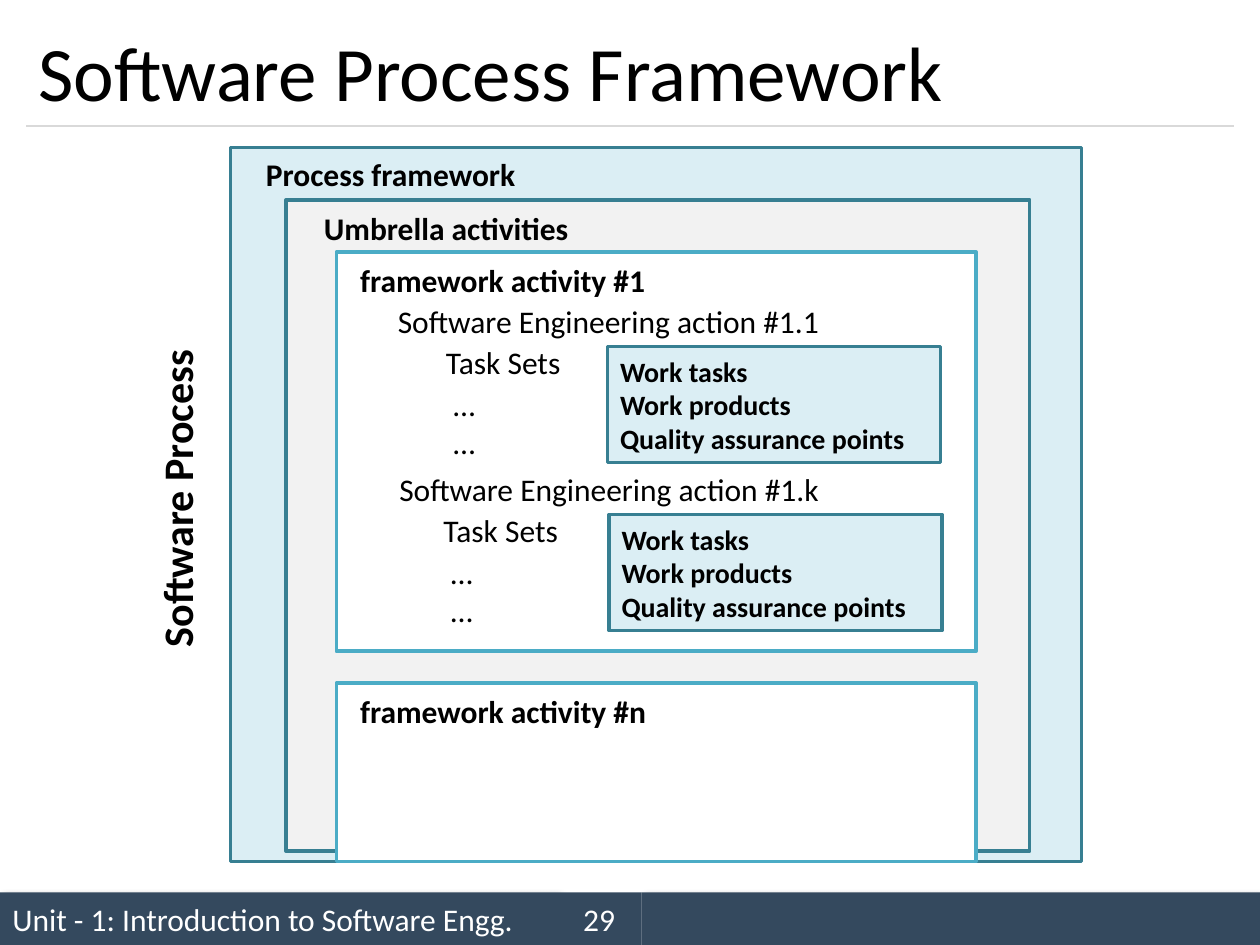
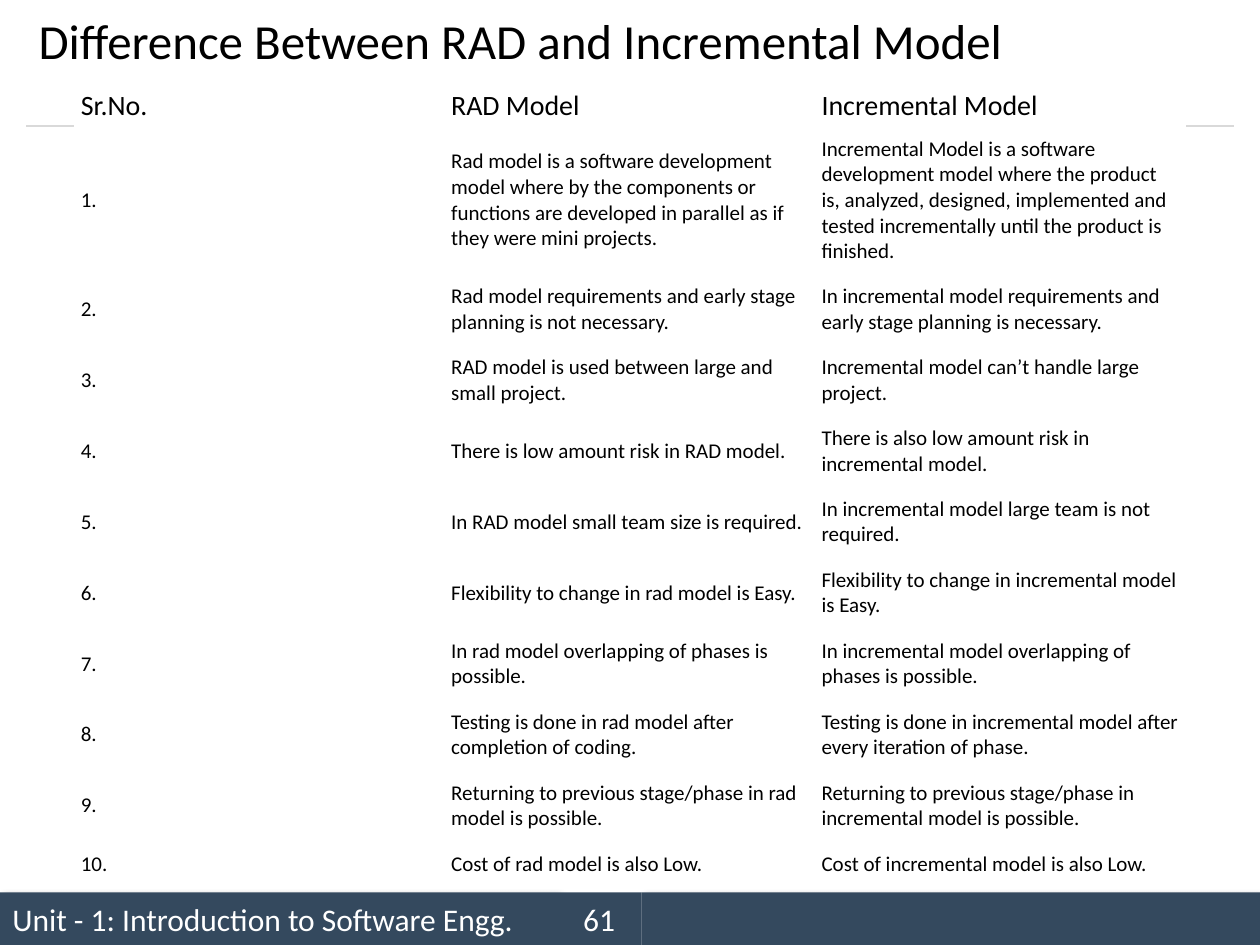
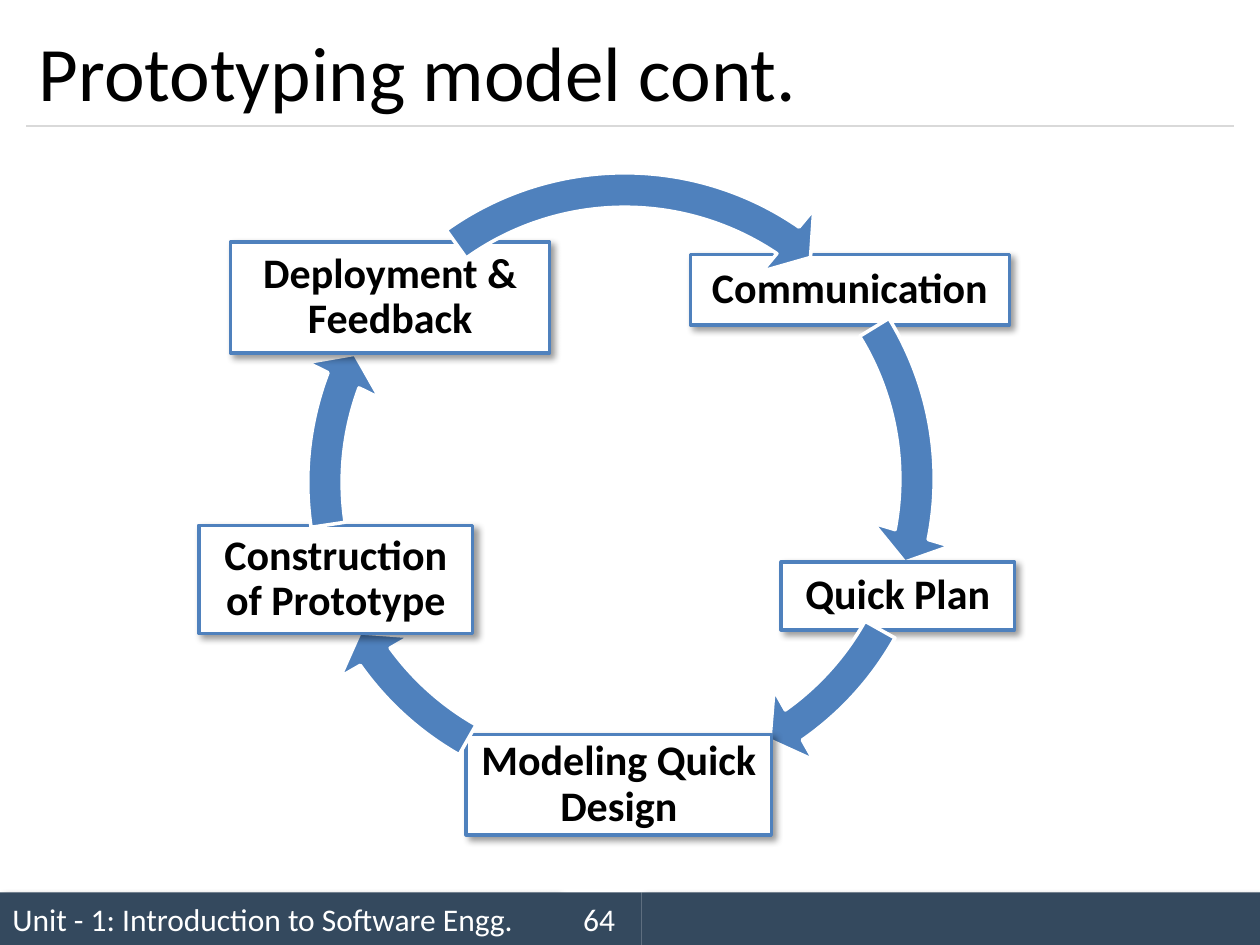
import dataclasses

import lxml.etree
import pptx
import pptx.dml.color
import pptx.enum.shapes
import pptx.enum.text
import pptx.oxml
import pptx.oxml.ns
import pptx.util

Cm = pptx.util.Cm
Color = pptx.dml.color.RGBColor
Shape = pptx.enum.shapes.MSO_SHAPE
Align = pptx.enum.text.PP_ALIGN
Anchor = pptx.enum.text.MSO_ANCHOR

FONT = "Calibri"
BLACK = Color(0x00, 0x00, 0x00)
WHITE = Color(0xFF, 0xFF, 0xFF)
NAVY = Color(0x34, 0x49, 0x5E)
RULE_GREY = Color(0xD9, 0xD9, 0xD9)
PALE_GREY = Color(0xF2, 0xF2, 0xF2)
PALE_TEAL = Color(0xDB, 0xEE, 0xF4)
DARK_TEAL = Color(0x37, 0x7F, 0x92)
TEAL = Color(0x4B, 0xAC, 0xC6)
BLUE = Color(0x4F, 0x81, 0xBD)

UNIT = "Unit - 1: Introduction to Software Engg."
TASK_LINES = "Work tasks\nWork products\nQuality assurance points"


@dataclasses.dataclass
class Box:
    """A region in centimetres."""
    left: float
    top: float
    width: float
    height: float

    def inner(self, left, top, width, height):
        return Box(self.left + left, self.top + top, width, height)

    def lengths(self):
        return Cm(self.left), Cm(self.top), Cm(self.width), Cm(self.height)


PAGE = Box(0, 0, 25.4, 19.05)


# Shared helpers

def write(frame, text, size, color=BLACK, bold=False, align=Align.LEFT):
    frame.text = text
    for para in frame.paragraphs:
        para.alignment = align
        for span in para.runs:
            span.font.name = FONT
            span.font.size = pptx.util.Pt(size)
            span.font.bold = bold
            span.font.color.rgb = color


def add_shadow(shape):
    namespace = pptx.oxml.ns.nsdecls("a")
    properties = shape._element.spPr
    for effects in properties.findall(pptx.oxml.ns.qn("a:effectLst")):
        properties.remove(effects)
    properties.append(pptx.oxml.parse_xml(
        f'<a:effectLst {namespace}><a:outerShdw blurRad="50800" dist="38100" dir="2700000" '
        'algn="tl" rotWithShape="0"><a:srgbClr val="000000"><a:alpha val="40000"/></a:srgbClr>'
        '</a:outerShdw></a:effectLst>'))


def add_block(page, box, fill, line=None, kind=Shape.RECTANGLE, shadow=False):
    shape = page.shapes.add_shape(kind, *box.lengths())
    shape.shadow.inherit = False
    shape.fill.solid()
    shape.fill.fore_color.rgb = fill
    if line is None:
        shape.line.fill.background()
    else:
        shape.line.color.rgb = line
        shape.line.width = pptx.util.Pt(2)
    if shadow:
        add_shadow(shape)
    shape.text_frame.vertical_anchor = Anchor.MIDDLE
    return shape


def add_label(page, box, text, size=18, bold=False):
    label = page.shapes.add_textbox(*box.lengths())
    label.text_frame.word_wrap = False
    label.text_frame.auto_size = pptx.enum.text.MSO_AUTO_SIZE.SHAPE_TO_FIT_TEXT
    write(label.text_frame, text, size, bold=bold)
    return label


def add_footer(page, box, number):
    unit_width, number_width = 11.23, 1.7
    unit = add_block(page, box.inner(0, 0, unit_width, box.height), NAVY, shadow=True)
    write(unit.text_frame, UNIT, 18, WHITE)
    rest_left = unit_width + number_width
    add_block(page, box.inner(rest_left, 0, box.width - rest_left, box.height), NAVY, shadow=True)
    counter = add_block(page, box.inner(unit_width, 0, number_width, box.height), NAVY)
    write(counter.text_frame, str(number), 18, WHITE, align=Align.CENTER)


def add_page(deck, title, number, title_size=44, title_height=2.24):
    page = deck.slides.add_slide(deck.slide_layouts[6])
    add_footer(page, PAGE.inner(0, 17.99, PAGE.width, 1.06), number)
    # Rule under the title
    margin, rule_top = 0.53, 2.54
    rule = page.shapes.add_connector(
        pptx.enum.shapes.MSO_CONNECTOR.STRAIGHT,
        Cm(margin), Cm(rule_top), Cm(PAGE.width - margin), Cm(rule_top))
    rule.line.color.rgb = RULE_GREY
    rule.line.width = pptx.util.Pt(0.75)
    lxml.etree.SubElement(rule._element.spPr, pptx.oxml.ns.qn("a:effectLst"))
    # Title
    title_box = PAGE.inner(margin, 0.3, PAGE.width - 2 * margin, title_height)
    heading = page.shapes.add_textbox(*title_box.lengths())
    heading.text_frame.word_wrap = True
    heading.text_frame.vertical_anchor = Anchor.MIDDLE
    write(heading.text_frame, title, title_size)
    return page


# Process framework: nested boxes

def add_action(page, box, name, task_indent):
    add_label(page, box.inner(0, 0, box.width, 1.02), name)
    add_label(page, box.inner(task_indent, 0.83, 2.84, 1.02), "Task Sets")
    add_label(page, box.inner(task_indent + 0.15, 1.67, 0.97, 1.8), "…\n…")
    tasks = add_block(page, box.inner(4.48, 1.02, 6.71, 2.34), PALE_TEAL, DARK_TEAL)
    write(tasks.text_frame, TASK_LINES, 16, bold=True)


def add_activity(page, box, name):
    add_block(page, box, WHITE, TEAL)
    add_label(page, box.inner(0.23, 0.06, 6.4, 1.02), name, bold=True)


def add_framework(page, box):
    add_block(page, box, PALE_TEAL, DARK_TEAL)
    umbrella = box.inner(1.12, 1.06, 14.99, 13.13)
    add_block(page, umbrella, PALE_GREY, DARK_TEAL)
    side = add_label(page, box.inner(-1.73, 4.01, 1.55, 6.32), "Software Process", 24, True)
    side.text_frame._txBody.bodyPr.set("vert", "vert270")
    add_label(page, box.inner(0.46, 0.03, 5.59, 1.02), "Process framework", bold=True)
    add_label(page, umbrella.inner(0.51, 0.05, 5.49, 1.02), "Umbrella activities", bold=True)

    first = box.inner(2.13, 2.11, 12.9, 8.05)
    add_activity(page, first, "framework activity #1")
    add_action(page, first.inner(0.99, 0.89, 9.27, 3.38), "Software Engineering action #1.1", 0.97)
    add_action(page, first.inner(1.02, 4.27, 9.09, 3.38), "Software Engineering action #1.k", 0.89)
    add_activity(page, box.inner(2.13, 10.8, 12.9, 3.6), "framework activity #n")


# Comparison table

COMPARISON = [
    ("Rad model is a software development model where by the components or functions are "
     "developed in parallel as if they were mini projects.",
     "Incremental Model is a software development model where the product is, analyzed, designed, "
     "implemented and tested incrementally until the product is finished."),
    ("Rad model requirements and early stage planning is not necessary.",
     "In incremental model requirements and early stage planning is necessary."),
    ("RAD model is used between large and small project.",
     "Incremental model can’t handle large project."),
    ("There is low amount risk in RAD model.",
     "There is also low amount risk in incremental model."),
    ("In RAD model small team size is required.",
     "In incremental model large team is not required."),
    ("Flexibility to change in rad model is Easy.",
     "Flexibility to change in incremental model is Easy."),
    ("In rad model overlapping of phases is possible.",
     "In incremental model overlapping of phases is possible."),
    ("Testing is done in rad model after completion of coding.",
     "Testing is done in incremental model after every iteration of phase."),
    ("Returning to previous stage/phase in rad model is possible.",
     "Returning to previous stage/phase in incremental model is possible."),
    ("Cost of rad model is also Low.", "Cost of incremental model is also Low."),
]


def add_comparison(page, box):
    rows = [("Sr.No.", "RAD Model", "Incremental Model")]
    rows += [(f"{number}.", *pair) for number, pair in enumerate(COMPARISON, 1)]
    heights = [0.81, 2.97] + [1.43] * 8 + [0.91]
    table = page.shapes.add_table(len(rows), len(rows[0]), *box.lengths()).table
    table.first_row = False
    table.horz_banding = False
    for row_index, texts in enumerate(rows):
        table.rows[row_index].height = Cm(heights[row_index])
        size, padding = (16, 0.07) if row_index == 0 else (12, 0.2)
        for column_index, text in enumerate(texts):
            cell = table.cell(row_index, column_index)
            cell.fill.solid()
            cell.fill.fore_color.rgb = WHITE
            cell.vertical_anchor = Anchor.MIDDLE
            cell.margin_left = cell.margin_right = Cm(0.13)
            cell.margin_top = cell.margin_bottom = Cm(padding)
            write(cell.text_frame, text, size)


# Prototyping cycle: each step with the arrow that leaves it

# name, step place, arrow left and top, arrow start and end in degrees
CYCLE = [
    ("Communication", (9.92, 2.13, 6.43, 1.42), (1.99, 0), 328.48, 11.08),
    ("Quick Plan", (11.75, 8.33, 4.7, 1.37), (1.99, 0.18), 29.29, 54.91),
    ("Modeling Quick Design", (5.4, 11.81, 6.15, 2.02), (1.66, 0.18), 119.62, 144.38),
    ("Construction of Prototype", (0.01, 7.59, 5.52, 2.18), (1.74, 0.07), 171.58, 200.62),
    ("Deployment & Feedback", (0.65, 1.88, 6.43, 2.24), (1.94, 0.02), 234.46, 304.27),
]
ARROW_SIZE = 13.31


def add_step(page, box, name):
    step = add_block(page, box, WHITE, BLUE, shadow=True)
    frame = step.text_frame
    frame.word_wrap = True
    frame.margin_left = frame.margin_right = frame.margin_top = frame.margin_bottom = Cm(0.08)
    write(frame, name, 24, bold=True, align=Align.CENTER)
    frame.paragraphs[0].line_spacing = 0.9


def add_cycle_arrow(page, box, start, end):
    arrow = add_block(page, box, BLUE, WHITE, Shape.CIRCULAR_ARROW)
    degree = 0.6
    settings = (0.052, 5.6 * degree, end * degree, start * degree, 0.061)
    for index, setting in enumerate(settings):
        arrow.adjustments[index] = setting


def add_cycle(page, box):
    for name, place, corner, start, end in CYCLE:
        add_step(page, box.inner(*place), name)
        add_cycle_arrow(page, box.inner(*corner, ARROW_SIZE, ARROW_SIZE), start, end)


def main():
    deck = pptx.Presentation()
    deck.slide_width, deck.slide_height = Cm(PAGE.width), Cm(PAGE.height)

    page = add_page(deck, "Software Process Framework", 29)
    add_framework(page, PAGE.inner(4.65, 2.97, 17.15, 14.4))

    page = add_page(deck, "Difference Between RAD and Incremental Model", 61, 28, 1.02)
    add_comparison(page, PAGE.inner(1.5, 1.73, 22.4, 16.13))

    page = add_page(deck, "Prototyping model cont.", 64)
    add_cycle(page, PAGE.inner(4, 3, 16.45, 13.83))

    deck.save("out.pptx")


if __name__ == "__main__":
    main()
